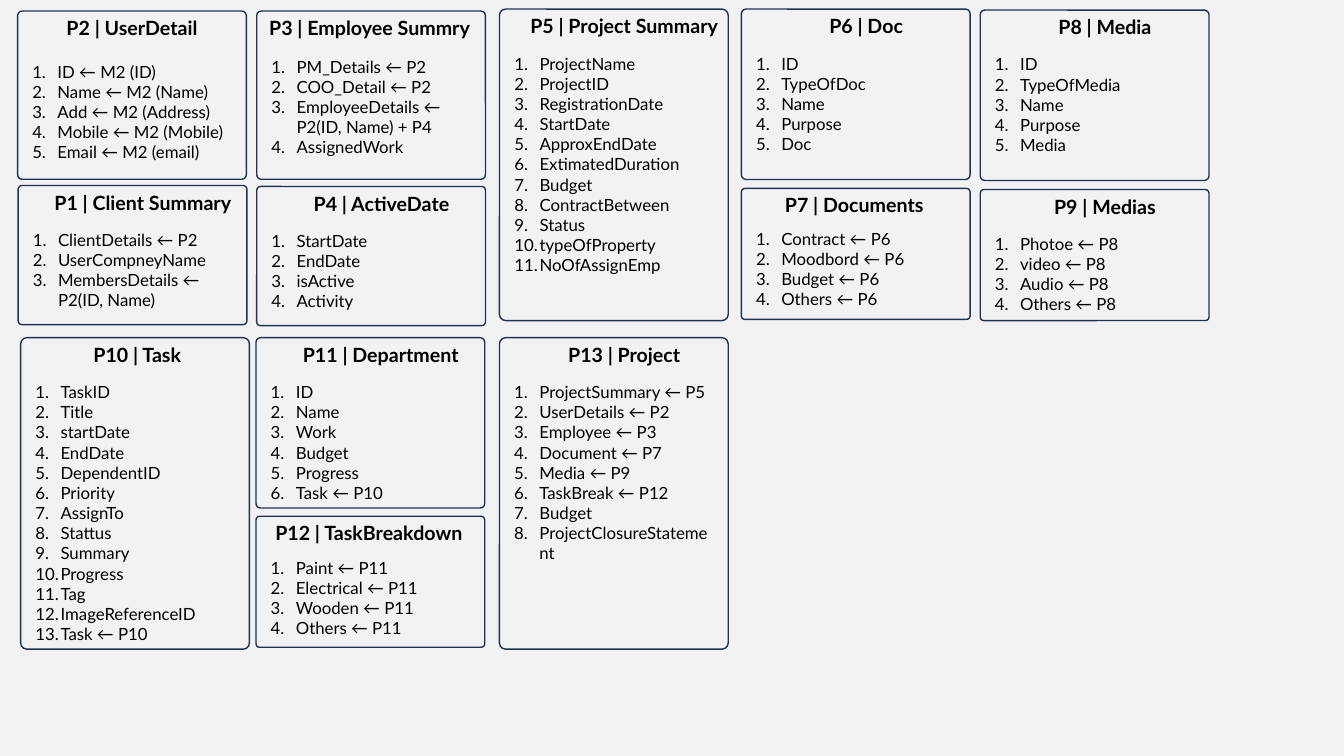
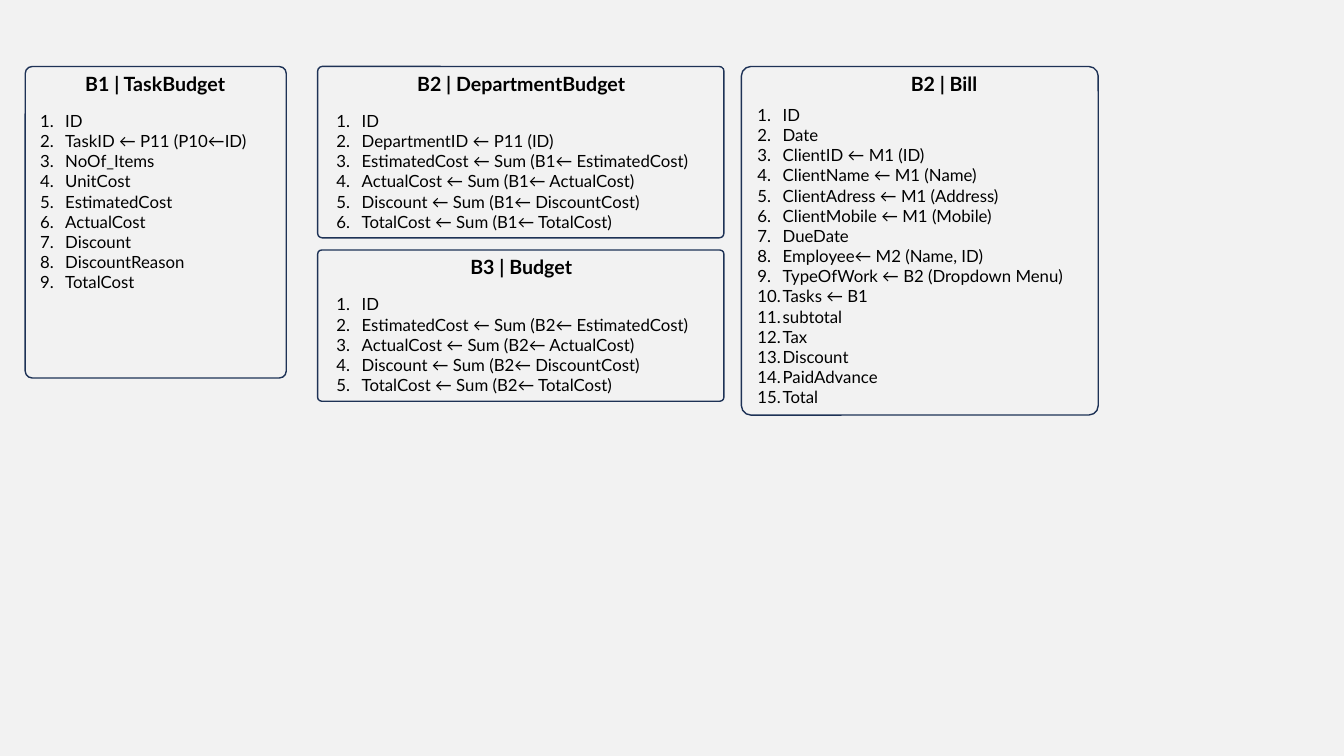
from pptx import Presentation
from pptx.dml.color import RGBColor
from pptx.enum.shapes import MSO_SHAPE
from pptx.enum.text import MSO_ANCHOR, MSO_AUTO_SIZE, PP_ALIGN
from pptx.oxml.ns import qn
from pptx.util import Pt
from lxml import etree

ROUND = MSO_SHAPE.ROUNDED_RECTANGLE
TOP = MSO_ANCHOR.TOP
GROW = MSO_AUTO_SIZE.SHAPE_TO_FIT_TEXT
LEFT, CENTER = PP_ALIGN.LEFT, PP_ALIGN.CENTER

# Heading spans on the narrow cards: offset from the card's left, width
SHIFTED = (9.6, 159)
CENTRED = (-7.2, 175.7)


def color(code):
    return RGBColor.from_string(code)


class Deck:
    font = "Lato"
    ink, edge, back = "000000", "1E3256", "F2F2F2"
    indent, line = 18, 14.4

    def __init__(self):
        self.prs = Presentation()
        self.prs.slide_width, self.prs.slide_height = Pt(960), Pt(540)
        fill = self.prs.slide_master.background.fill
        fill.solid()
        fill.fore_color.rgb = color(self.back)
        self.slide = None
        self.free = []

    def page(self):
        """Start a slide; its first card fills the title and body."""
        self.slide = self.prs.slides.add_slide(self.prs.slide_layouts[1])
        self.free = list(self.slide.placeholders)

    def frame(self, x, y, w, h):
        """Place the next free placeholder, or else a text box."""
        spot = [Pt(v) for v in (x, y, w, h)]
        if self.free:
            box = self.free.pop(0)
            box.left, box.top, box.width, box.height = spot
        else:
            box = self.slide.shapes.add_textbox(*spot)
        text = box.text_frame
        text.word_wrap = True
        text.auto_size = GROW
        text.vertical_anchor = TOP
        return text

    def label(self, para, words, size, bold, align):
        para.alignment = align
        para.line_spacing = 1.0
        para.space_before = para.space_after = Pt(0)
        run = para.add_run()
        run.text = words
        font = run.font
        font.name, font.size, font.bold = self.font, Pt(size), bold
        font.color.rgb = color(self.ink)

    def border(self, x, y, w, h):
        box = self.slide.shapes.add_shape(ROUND, Pt(x), Pt(y), Pt(w), Pt(h))
        box.adjustments[0] = 0.027
        box.shadow.inherit = False
        box.fill.background()
        box.line.color.rgb = color(self.edge)
        box.line.width = Pt(1)

    def heading(self, words, x, y, w):
        text = self.frame(x, y, w, 24.3)
        self.label(text.paragraphs[0], words, 14, True, CENTER)

    def items(self, lines, x, y, w):
        text = self.frame(x, y, w, 7.2 + self.line * len(lines))
        for i, words in enumerate(lines):
            para = text.add_paragraph() if i else text.paragraphs[0]
            self.label(para, words, 12, False, LEFT)
            self.number(para)

    def number(self, para):
        props = para._p.get_or_add_pPr()
        props.set("marL", str(Pt(self.indent)))
        props.set("indent", str(-Pt(self.indent)))
        mark = etree.SubElement(props, qn("a:buAutoNum"))
        mark.set("type", "arabicPeriod")

    def card(self, title, box, lines, head=SHIFTED, drop=28, pad=3.4,
             span=155.5):
        x, y, w, h = box
        self.border(x, y, w, h)
        self.heading(title, x + head[0], y, head[1])
        self.items(lines, x + pad, y + drop, span)


def main():
    deck = Deck()

    # Slide 1: project records
    deck.page()
    wide = 163.4
    c1, c2, c3, c4, c5 = 12.6, 183.4, 356.8, 529.6, 700.2
    low = 241.2
    tall, mid, short = 222.5, 121.7, 93.6

    deck.card("P5 | Project Summary", (c3, 6.5, wide, tall), [
        "ProjectName", "ProjectID", "RegistrationDate", "StartDate",
        "ApproxEndDate", "ExtimatedDuration", "Budget", "ContractBetween",
        "Status", "typeOfProperty", "NoOfAssignEmp"])
    deck.card("P2 | UserDetail", (c1, 7.9, wide, 120.2), [
        "ID ← M2 (ID)", "Name ← M2 (Name)", "Add ← M2 (Address)",
        "Mobile ← M2 (Mobile)", "Email ← M2 (email)"],
        head=(9.7, 144), drop=32.4)
    deck.card("P1 | Client Summary", (13, 132.5, wide, 99.4), [
        "ClientDetails ← P2", "UserCompneyName",
        "MembersDetails ← P2(ID, Name)"])
    deck.card("P3 | Employee Summry", (c2, 7.9, wide, 120.2), [
        "PM_Details ← P2", "COO_Detail ← P2",
        "EmployeeDetails ← P2(ID, Name) + P4", "AssignedWork"],
        head=CENTRED, drop=28.8)
    deck.card("P4 | ActiveDate", (c2, 133.2, wide, 99.4), [
        "StartDate", "EndDate", "isActive", "Activity"])
    deck.card("P6 | Doc", (c4, 6.5, wide, mid), [
        "ID", "TypeOfDoc", "Name", "Purpose", "Doc"])
    deck.card("P7 | Documents", (c4, 134.6, wide, short), [
        "Contract ← P6", "Moodbord ← P6", "Budget ← P6", "Others ← P6"],
        head=CENTRED, drop=25.2)
    deck.card("P8 | Media", (c5, 7.2, wide, mid), [
        "ID", "TypeOfMedia", "Name", "Purpose", "Media"])
    deck.card("P9 | Medias", (c5, 135.4, wide, short), [
        "Photoe ← P8", "video ← P8", "Audio ← P8", "Others ← P8"])
    deck.card("P10 | Task", (14.8, low, wide, tall), [
        "TaskID", "Title", "startDate", "EndDate", "DependentID",
        "Priority", "AssignTo", "Stattus", "Summary", "Progress", "Tag",
        "ImageReferenceID", "Task ← P10"], head=(-2, 170.6))
    deck.card("P11 | Department", (c2 - 0.5, low, wide, mid), [
        "ID", "Name", "Work", "Budget", "Progress", "Task ← P10"])
    deck.card("P12 | TaskBreakdown", (c2 - 0.5, 368.8, wide, short), [
        "Paint ← P11", "Electrical ← P11", "Wooden ← P11",
        "Others ← P11"], head=CENTRED, drop=25.9)
    deck.card("P13 | Project", (c3, low, wide, tall), [
        "ProjectSummary ← P5", "UserDetails ← P2", "Employee ← P3",
        "Document ← P7", "Media ← P9", "TaskBreak ← P12", "Budget",
        "ProjectClosureStatement"])

    # Slide 2: budgets and bill
    deck.page()
    top, mid_x, mid_w = 47.5, 226.9, 290.2
    pair = dict(head=(18, 254.9), pad=6.4, span=275.8)

    deck.card("B1 | TaskBudget", (18, top, 186.5, tall), [
        "ID", "TaskID ← P11 (P10←ID)", "NoOf_Items", "UnitCost",
        "EstimatedCost", "ActualCost", "Discount", "DiscountReason",
        "TotalCost"], head=(10.8, 164.2), span=177)
    deck.card("B2 | DepartmentBudget", (mid_x, top, mid_w, 122.4), [
        "ID", "DepartmentID ← P11 (ID)",
        "EstimatedCost ← Sum (B1← EstimatedCost)",
        "ActualCost ← Sum (B1← ActualCost)",
        "Discount ← Sum (B1← DiscountCost)",
        "TotalCost ← Sum (B1← TotalCost)"], **pair)
    deck.card("B3 | Budget", (mid_x, 178.6, mid_w, 108), [
        "ID", "EstimatedCost ← Sum (B2← EstimatedCost)",
        "ActualCost ← Sum (B2← ActualCost)",
        "Discount ← Sum (B2← DiscountCost)",
        "TotalCost ← Sum (B2← TotalCost)"], **pair)
    deck.card("B2 | Bill", (c4, top, 254.9, 249), [
        "ID", "Date", "ClientID ← M1 (ID)", "ClientName ← M1 (Name)",
        "ClientAdress ← M1 (Address)", "ClientMobile ← M1 (Mobile)",
        "DueDate", "Employee← M2 (Name, ID)",
        "TypeOfWork ← B2 (Dropdown Menu)", "Tasks ← B1", "subtotal",
        "Tax", "Discount", "PaidAdvance", "Total"],
        head=(17.3, 254.9), drop=23.8, pad=4.4, span=275.8)

    deck.prs.save("out.pptx")


if __name__ == "__main__":
    main()
